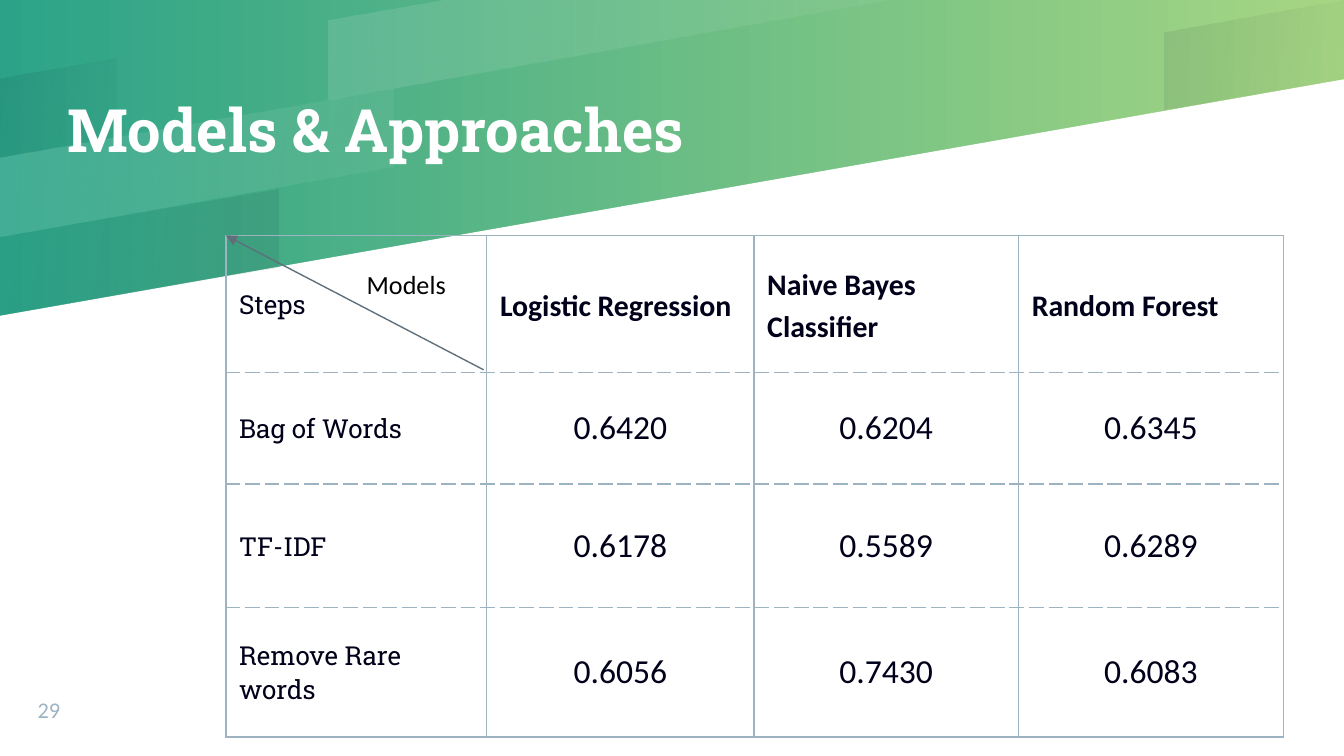
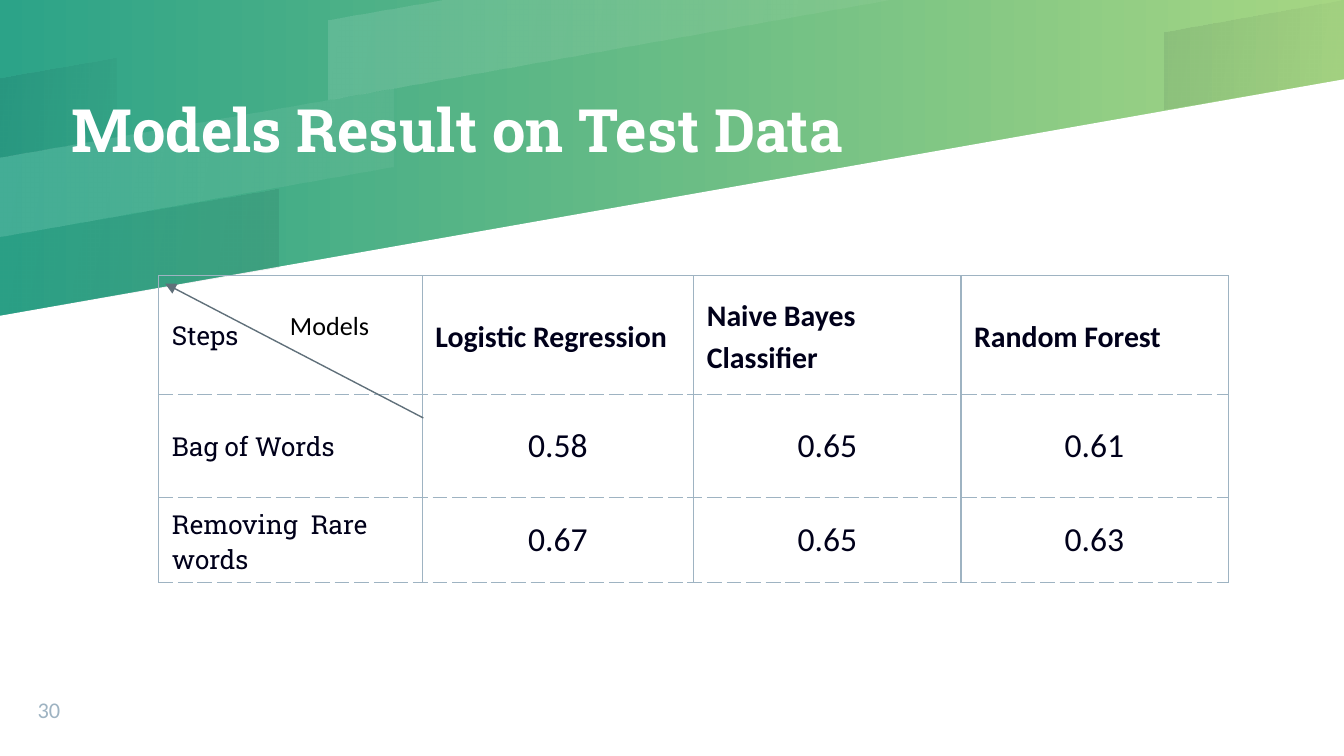
from dataclasses import dataclass

from lxml.etree import SubElement
from pptx import Presentation
from pptx.dml.color import RGBColor
from pptx.enum.shapes import MSO_CONNECTOR
from pptx.enum.text import MSO_ANCHOR, MSO_AUTO_SIZE, PP_ALIGN
from pptx.oxml.ns import qn
from pptx.oxml.xmlchemy import OxmlElement
from pptx.util import Cm, Pt

TEAL = RGBColor(0x2C, 0xA3, 0x88)
LIME = RGBColor(0xA6, 0xD6, 0x83)
WHITE = RGBColor(0xFF, 0xFF, 0xFF)
BLACK = RGBColor(0x00, 0x00, 0x00)
INK = RGBColor(0x00, 0x00, 0x1A)
GREY_BLUE = RGBColor(0x9E, 0xB3, 0xC2)
SLATE = RGBColor(0x60, 0x70, 0x7A)

SLAB = "Roboto Slab"
SANS = "Calibri"
MODELS = ["Logistic Regression", "Naive Bayes Classifier", "Random Forest"]

Point = tuple[float, float]


@dataclass
class Band:
    points: list[Point]
    color: RGBColor
    alphas: tuple[int, int]  # percent at both ends of the gradient


@dataclass
class ResultSlide:
    """Contents and places of one slide, lengths in centimetres."""
    number: int
    title: str
    title_left: float
    table_at: Point
    col_widths: list[float]
    row_heights: list[float]
    results: list[list[str]]
    solid_bottom: bool
    arrow: tuple[Point, Point]
    label_at: Point


BANDS = [
    Band([(0, 14.29), (25.4, 14.29), (25.4, 1.5), (0, 5.97)], WHITE, (100, 100)),
    Band([(8.43, 0), (6.2, 0.38), (6.2, 1.88), (16.89, 0)], WHITE, (12, 5)),
    Band([(0, 1.47), (0, 2.97), (2.21, 2.59), (2.21, 1.09)], INK, (8, 2)),
    Band([(0, 4.47), (0, 5.97), (5.26, 5.05), (5.26, 3.56)], INK, (2, 8)),
    Band([(25.4, 0), (22, 0.61), (22, 2.08), (25.4, 1.5)], INK, (8, 2)),
    Band([(0, 2.97), (0, 4.47), (7.44, 3.15), (7.44, 1.68)], WHITE, (12, 5)),
]

SLIDES = [
    ResultSlide(
        29, "Models & Approaches", 1.27, (4.27, 4.45),
        [4.93, 5.05, 5, 5], [2.59, 2.11, 2.34, 2.44],
        [["Bag of Words", "0.6420", "0.6204", "0.6345"],
         ["TF-IDF", "0.6178", "0.5589", "0.6289"],
         ["Remove Rare words", "0.6056", "0.7430", "0.6083"]],
        True, ((9.14, 6.99), (4.27, 4.45)), (6.68, 4.83)),
    ResultSlide(
        30, "Models Result on Test Data", 1.35, (3, 5.21),
        [4.98, 5.13, 5.05, 5.05], [2.24, 1.96, 1.6],
        [["Bag of Words", "0.58", "0.65", "0.61"],
         ["Removing  Rare words", "0.67", "0.65", "0.63"]],
        False, ((8, 7.9), (3.12, 5.36)), (5.23, 5.59)),
]


def set_text(tf, text: str, font: str, size: int, color: RGBColor, bold: bool = False):
    tf.text = text
    p = tf.paragraphs[0]
    f = p.runs[0].font
    f.name, f.size, f.bold = font, Pt(size), bold
    f.color.rgb = color
    return p


def set_margins(tf, margin: float) -> None:
    tf.margin_left = tf.margin_right = tf.margin_top = tf.margin_bottom = Cm(margin)


def set_gradient(fill, colors: tuple[RGBColor, RGBColor], angle: int) -> None:
    fill.gradient()
    fill.gradient_angle = angle
    for stop, color in zip(fill.gradient_stops, colors):
        stop.color.rgb = color


def add_band(s, band: Band):
    corners = [(Cm(x), Cm(y)) for x, y in band.points]
    builder = s.shapes.build_freeform(*corners[0], scale=1.0)
    builder.add_line_segments(corners[1:], close=True)
    sp = builder.convert_to_shape()
    sp.shadow.inherit = False
    sp.line.fill.background()
    if band.alphas == (100, 100):
        sp.fill.solid()
        sp.fill.fore_color.rgb = band.color
        return sp
    set_gradient(sp.fill, (band.color, band.color), 350)
    for clr, alpha in zip(sp.element.spPr.iter(qn("a:srgbClr")), band.alphas):
        SubElement(clr, qn("a:alpha"), val=str(alpha * 1000))
    return sp


def decorate_layout(layout, s) -> None:
    """Draw the bands through a slide and move them to its layout."""
    set_gradient(layout.background.fill, (TEAL, LIME), 0)
    for i, band in enumerate(BANDS):
        layout.shapes.element.insert(2 + i, add_band(s, band).element)


def add_title(s, text: str, left: float) -> None:
    sp = s.shapes.title
    sp.left, sp.top, sp.width, sp.height = Cm(left), Cm(0), Cm(15.24), Cm(5.03)
    tf = sp.text_frame
    tf.auto_size = MSO_AUTO_SIZE.NONE
    tf.vertical_anchor = MSO_ANCHOR.MIDDLE
    set_margins(tf, 0)
    p = set_text(tf, text, SLAB, 32, WHITE, True)
    p.alignment = PP_ALIGN.LEFT
    p.line_spacing = 0.9
    # Soft shadow behind the letters
    effects = OxmlElement("a:effectLst")
    shadow = SubElement(effects, qn("a:outerShdw"), blurRad="38100", dist="38100",
                        dir="2700000", algn="tl")
    clr = SubElement(shadow, qn("a:srgbClr"), val=str(BLACK))
    SubElement(clr, qn("a:alpha"), val="43000")
    p.runs[0].font.fill  # the effects follow the fill
    p.runs[0].font._element.find(qn("a:solidFill")).addnext(effects)


def add_label(s, text: str, at: Point, size: Point, margin: float,
              points: int, color: RGBColor, anchor: MSO_ANCHOR) -> None:
    tf = s.shapes.add_textbox(*map(Cm, at), *map(Cm, size)).text_frame
    tf.word_wrap = True
    tf.vertical_anchor = anchor
    set_margins(tf, margin)
    set_text(tf, text, SANS, points, color)


def set_borders(cell, top: str, bottom: str) -> None:
    tcPr = cell._tc.get_or_add_tcPr()
    sides = {"L": "solid", "R": "solid", "T": top, "B": bottom}
    for i, (side, dash) in enumerate(sides.items()):
        ln = OxmlElement(f"a:ln{side}")
        ln.set("w", str(Pt(0.75)))
        SubElement(SubElement(ln, qn("a:solidFill")), qn("a:srgbClr"), val=str(GREY_BLUE))
        SubElement(ln, qn("a:prstDash"), val=dash)
        tcPr.insert(i, ln)


def fill_cell(cell, text: str, is_head: bool, is_step: bool) -> None:
    cell.fill.background()
    cell.vertical_anchor = MSO_ANCHOR.MIDDLE
    cell.margin_left = cell.margin_right = Cm(0.25)
    cell.margin_top = cell.margin_bottom = Cm(0.18)
    if is_step:
        set_text(cell.text_frame, text, SLAB, 14, INK)
    elif is_head:
        p = set_text(cell.text_frame, text, SANS, 16, INK, True)
        p.line_spacing = 1.15
        p.space_before = Pt(6)
    else:
        set_text(cell.text_frame, text, SANS, 18, INK).alignment = PP_ALIGN.CENTER


def add_results(s, spec_: ResultSlide) -> None:
    rows = [["Steps", *MODELS], *spec_.results]
    size = sum(spec_.col_widths), sum(spec_.row_heights)
    table = s.shapes.add_table(len(rows), len(rows[0]),
                               *map(Cm, spec_.table_at), *map(Cm, size)).table
    table.first_row = table.horz_banding = False
    for col, width in zip(table.columns, spec_.col_widths):
        col.width = Cm(width)
    for row, height in zip(table.rows, spec_.row_heights):
        row.height = Cm(height)
    last = len(rows) - 1
    for r, texts in enumerate(rows):
        top = "solid" if r == 0 else "lgDash"
        bottom = "solid" if r == last and spec_.solid_bottom else "lgDash"
        for c, text in enumerate(texts):
            cell = table.cell(r, c)
            fill_cell(cell, text, r == 0, c == 0)
            set_borders(cell, top, bottom)


def add_arrow(s, start: Point, end: Point) -> None:
    line = s.shapes.add_connector(MSO_CONNECTOR.STRAIGHT, *map(Cm, start), *map(Cm, end))
    line.line.color.rgb = SLATE
    line.line.width = Pt(0.75)
    SubElement(line.line._get_or_add_ln(), qn("a:tailEnd"), type="triangle")
    SubElement(line.element.spPr, qn("a:effectLst"))


def add_result_slide(s, content: ResultSlide) -> None:
    add_title(s, content.title, content.title_left)
    add_label(s, str(content.number), (0.71, 12.98), (1.35, 0.69), 0,
              12, GREY_BLUE, MSO_ANCHOR.BOTTOM)
    add_results(s, content)
    # Diagonal split of the corner cell
    add_arrow(s, *content.arrow)
    add_label(s, "Models", content.label_at, (3.18, 0.86), 0.25,
              14, BLACK, MSO_ANCHOR.TOP)


def main() -> None:
    prs = Presentation()
    prs.slide_width, prs.slide_height = Cm(25.4), Cm(14.29)
    layout = prs.slide_layouts[5]  # title only
    slides = [prs.slides.add_slide(layout) for _ in SLIDES]
    decorate_layout(layout, slides[0])
    for s, content in zip(slides, SLIDES):
        add_result_slide(s, content)
    prs.save("out.pptx")


if __name__ == "__main__":
    main()
